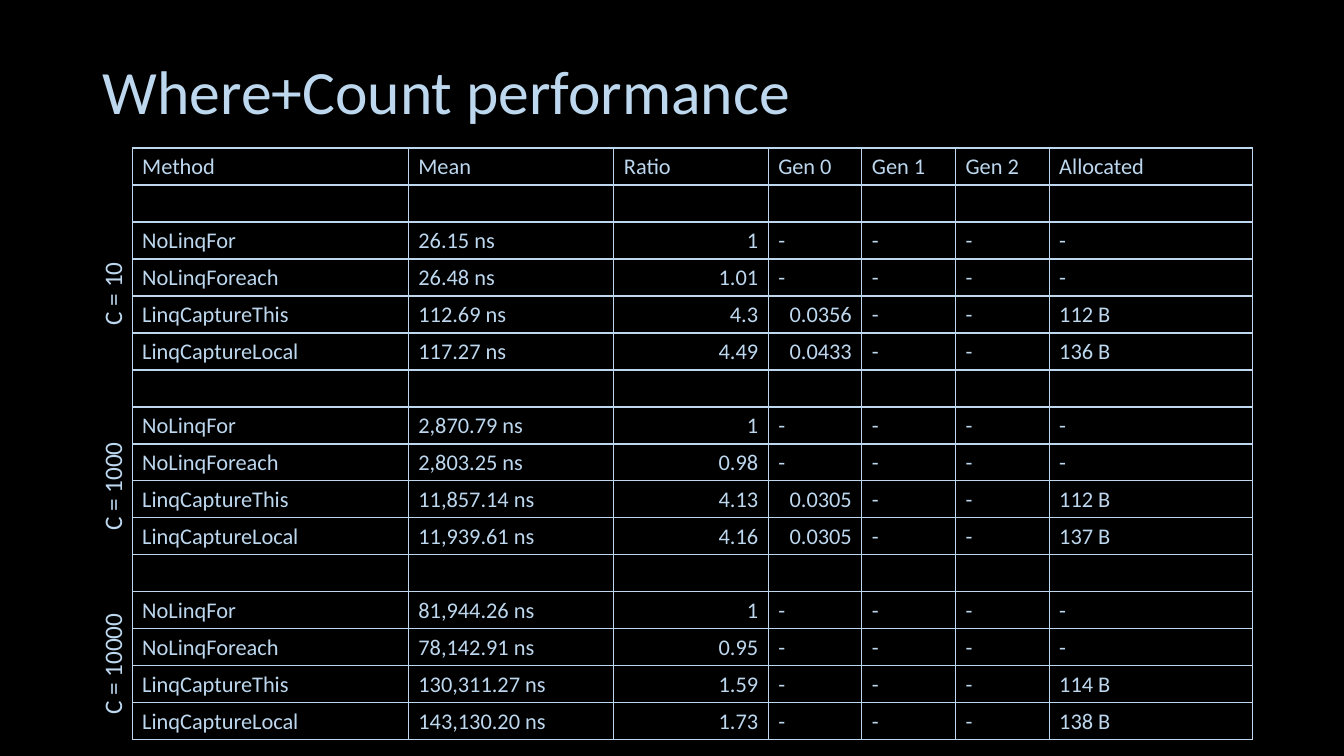
from lxml import etree
from pptx import Presentation
from pptx.dml.color import RGBColor
from pptx.enum.text import MSO_ANCHOR, PP_ALIGN
from pptx.oxml.ns import qn
from pptx.util import Cm, Pt

BLACK = RGBColor(0x00, 0x00, 0x00)
PALE = RGBColor(0xBD, 0xD7, 0xEE)
FONT = "Calibri"
MIDDLE, BOTTOM = MSO_ANCHOR.MIDDLE, MSO_ANCHOR.BOTTOM
RIGHT = PP_ALIGN.RIGHT

HEADS = ["Method", "Mean", "Ratio", "Gen 0", "Gen 1", "Gen 2", "Allocated"]
WIDTHS = [6.96, 5.18, 3.89, 2.36, 2.36, 2.36, 5.13]
METHODS = ["NoLinqFor", "NoLinqForeach", "LinqCaptureThis", "LinqCaptureLocal"]
# Mean, ratio, gen 0 and allocated for each method, by count
GROUPS = [
    [("26.15 ns", "1", "-", "-"),
     ("26.48 ns", "1.01", "-", "-"),
     ("112.69 ns", "4.3", "0.0356", "112 B"),
     ("117.27 ns", "4.49", "0.0433", "136 B")],
    [("2,870.79 ns", "1", "-", "-"),
     ("2,803.25 ns", "0.98", "-", "-"),
     ("11,857.14 ns", "4.13", "0.0305", "112 B"),
     ("11,939.61 ns", "4.16", "0.0305", "137 B")],
    [("81,944.26 ns", "1", "-", "-"),
     ("78,142.91 ns", "0.95", "-", "-"),
     ("130,311.27 ns", "1.59", "-", "114 B"),
     ("143,130.20 ns", "1.73", "-", "138 B")],
]
# Text, middle height and length of each side label
LABELS = [("C = 10", 7.39, 2.11), ("C = 1000", 12.24, 2.77),
          ("C = 10000", 16.71, 3.1)]


def style(para, size):
    for run in para.runs:
        run.font.name = FONT
        run.font.size = Pt(size)
        run.font.color.rgb = PALE


def add_text(slide, text, left, top, width, height, size):
    box = slide.shapes.add_textbox(Cm(left), Cm(top), Cm(width), Cm(height))
    box.text_frame.text = text
    style(box.text_frame.paragraphs[0], size)
    return box


def add_title(slide, left, top, width, height):
    box = add_text(slide, "Where+Count performance",
                   left, top, width, height, 44)
    frame = box.text_frame
    frame.word_wrap = True
    frame.vertical_anchor = MIDDLE
    frame.paragraphs[0].line_spacing = 0.9


def add_label(slide, text, mid_x, mid_y, width, height):
    box = add_text(slide, text, mid_x - width / 2, mid_y - height / 2,
                   width, height, 18)
    box.text_frame.word_wrap = False
    box.rotation = 270


def add_borders(cell):
    props = cell._tc.get_or_add_tcPr()
    for i, side in enumerate(("a:lnL", "a:lnR", "a:lnT", "a:lnB")):
        line = etree.Element(qn(side), w=str(Pt(1)))
        fill = etree.SubElement(line, qn("a:solidFill"))
        etree.SubElement(fill, qn("a:srgbClr"), val=str(PALE))
        props.insert(i, line)


def fill_cell(cell, text, numeric):
    cell.fill.background()
    cell.vertical_anchor = BOTTOM
    para = cell.text_frame.paragraphs[0]
    if text:
        para.text = text
        style(para, 16)
        if numeric:
            para.alignment = RIGHT
    else:
        # Keeps empty rows as low as the others
        etree.SubElement(para._p, qn("a:endParaRPr"), sz="1600")
    add_borders(cell)


def list_rows():
    rows = [HEADS]
    for group in GROUPS:
        rows.append([""] * len(HEADS))
        for method, (mean, ratio, gen, size) in zip(METHODS, group):
            rows.append([method, mean, ratio, gen, "-", "-", size])
    return rows


def add_results(slide, left, top, width, height):
    rows = list_rows()
    table = slide.shapes.add_table(len(rows), len(HEADS), Cm(left), Cm(top),
                                   Cm(width), Cm(height)).table
    table.first_row = table.horz_banding = False
    for column, size in zip(table.columns, WIDTHS):
        column.width = Cm(size)
    for r, row in enumerate(rows):
        for c, text in enumerate(row):
            numeric = r > 0 and c in (2, 3) and text != "-"
            fill_cell(table.cell(r, c), text, numeric)


def main():
    deck = Presentation()
    deck.slide_width, deck.slide_height = Cm(33.87), Cm(19.05)
    slide = deck.slides.add_slide(deck.slide_layouts[6])
    back = slide.background.fill
    back.solid()
    back.fore_color.rgb = BLACK

    add_title(slide, 2.34, 1.02, 29.21, 2.72)
    add_results(slide, 3.33, 3.73, sum(WIDTHS), 14.91)
    for text, mid, length in LABELS:
        add_label(slide, text, 2.83, mid, length, 1.02)
    deck.save("out.pptx")


if __name__ == "__main__":
    main()
